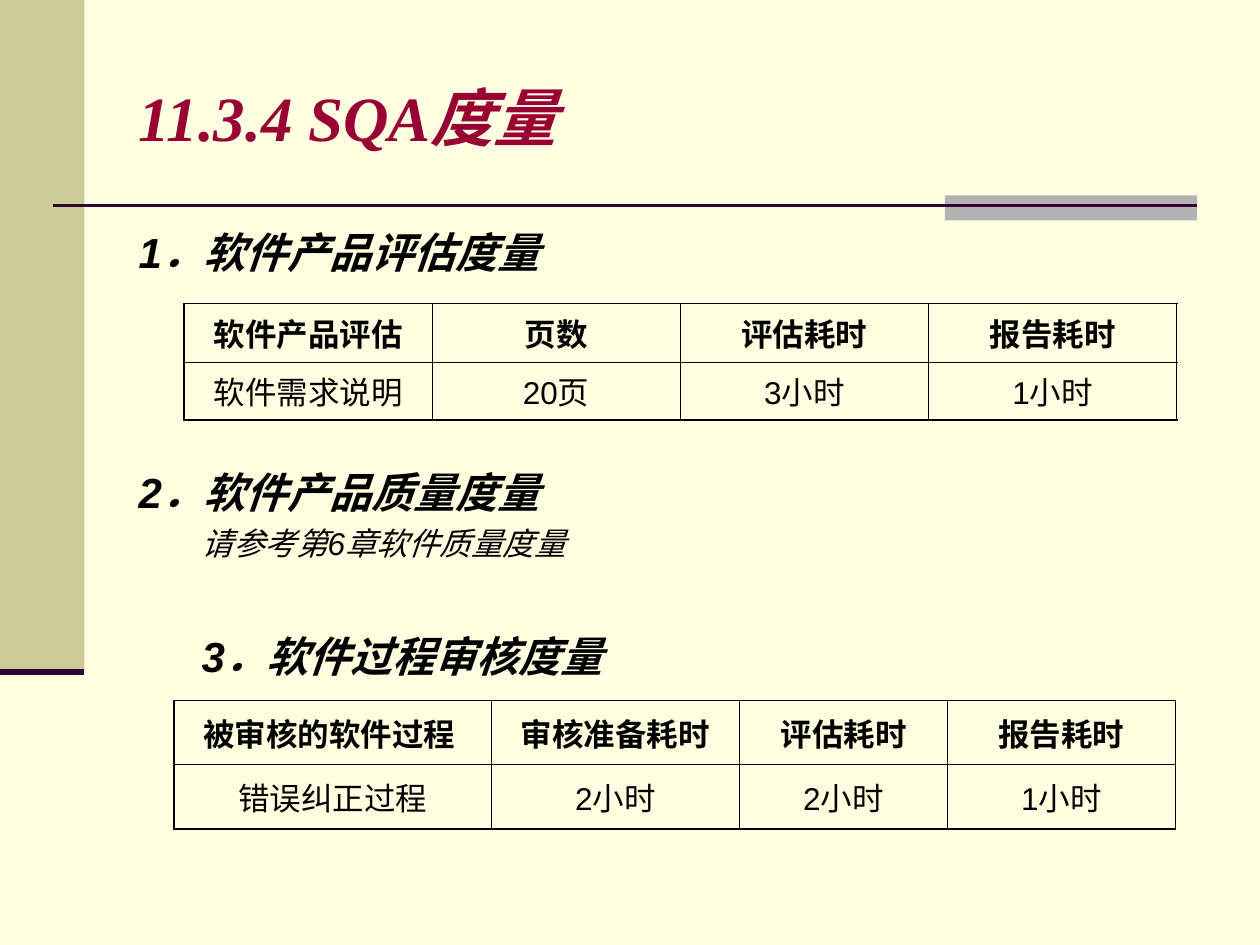
from dataclasses import dataclass

from lxml.etree import SubElement
from pptx import Presentation
from pptx.dml.color import RGBColor as RGB
from pptx.enum.shapes import MSO_CONNECTOR as CONN, MSO_SHAPE as SHAPE
from pptx.enum.text import MSO_ANCHOR as ANCHOR, MSO_AUTO_SIZE as AUTO, PP_ALIGN as ALIGN
from pptx.oxml.ns import qn
from pptx.util import Inches, Pt


@dataclass(frozen=True)
class Theme:
    paper: str = "FFFFE1"
    band: str = "CCCC99"
    tab: str = "B2B2B2"
    rule: str = "330033"
    title: str = "990033"
    text: str = "000000"
    title_font: str = "Times New Roman"
    body_font: str = "Arial"
    title_size: int = 36
    head_size: int = 24
    note_size: int = 18
    outer_line: float = 1.08
    inner_line: float = 0.45


def apply(target, values):
    for name, value in values.items():
        setattr(target, name, value)


def box(left, top, width, height):
    return dict(left=Inches(left), top=Inches(top), width=Inches(width), height=Inches(height))


class Deck:
    def __init__(self, theme):
        self.theme = theme
        self.prs = Presentation()
        apply(self.prs, dict(slide_width=Inches(10), slide_height=Inches(7.5)))
        self.s = self.prs.slides.add_slide(self.prs.slide_layouts[1])
        fill = self.s.background.fill
        fill.solid()
        fill.fore_color.rgb = RGB.from_string(theme.paper)

    def font(self, r, size, name=None, color=None, bold=False, italic=False):
        apply(r.font, dict(size=Pt(size), name=name or self.theme.body_font,
                           bold=bold, italic=italic))
        r.font.color.rgb = RGB.from_string(color or self.theme.text)

    def rect(self, color, *place):
        sp = self.s.shapes.add_shape(SHAPE.RECTANGLE, *box(*place).values())
        sp.shadow.inherit = False
        sp.fill.solid()
        sp.fill.fore_color.rgb = RGB.from_string(color)
        sp.line.fill.background()

    def rule(self, x1, x2, y, width):
        line = self.s.shapes.add_connector(CONN.STRAIGHT, Inches(x1), Inches(y), Inches(x2), Inches(y))
        line.line.color.rgb = RGB.from_string(self.theme.rule)
        line.line.width = Pt(width)
        SubElement(line._element.spPr, qn("a:effectLst"))

    def title(self, text, *place):
        sp = self.s.shapes.title
        apply(sp, box(*place))
        tf = sp.text_frame
        apply(tf, dict(word_wrap=True, auto_size=AUTO.NONE, vertical_anchor=ANCHOR.MIDDLE))
        p = tf.paragraphs[0]
        p.alignment = ALIGN.LEFT
        r = p.add_run()
        r.text = text
        self.font(r, self.theme.title_size, self.theme.title_font, self.theme.title, True, True)

    def body(self, items, *place):
        sp = self.s.placeholders[1]
        apply(sp, box(*place))
        tf = sp.text_frame
        apply(tf, dict(word_wrap=True, auto_size=AUTO.NONE, vertical_anchor=ANCHOR.TOP))
        for i, (text, size, bold, indent, before) in enumerate(items):
            p = tf.add_paragraph() if i else tf.paragraphs[0]
            pPr = p._p.get_or_add_pPr()
            pPr.set("marL", str(Inches(indent)))
            pPr.set("indent", "0")
            SubElement(pPr, qn("a:buNone"))
            p.space_before = Pt(before)
            r = p.add_run()
            r.text = text
            self.font(r, size, bold=bold, italic=True)

    def border(self, cell, side, width):
        tcPr = cell._tc.get_or_add_tcPr()
        ln = SubElement(tcPr, qn(f"a:ln{side}"), w=str(Pt(width)))
        fill = SubElement(ln, qn("a:solidFill"))
        SubElement(fill, qn("a:srgbClr"), val=self.theme.text)

    def table(self, rows, widths, left, top, row_height):
        last_row, last_col = len(rows) - 1, len(widths) - 1
        place = box(left, top, sum(widths), row_height * len(rows))
        tbl = self.s.shapes.add_table(len(rows), len(widths), *place.values()).table
        apply(tbl, dict(first_row=False, horz_banding=False))
        for col, width in zip(tbl.columns, widths):
            col.width = Inches(width)
        for i, row in enumerate(rows):
            tbl.rows[i].height = Inches(row_height)
            for j, text in enumerate(row):
                cell = tbl.cell(i, j)
                cell.vertical_anchor = ANCHOR.MIDDLE
                edges = dict(L=j == 0, R=j == last_col, T=i == 0, B=i == last_row)
                for side, outer in edges.items():
                    self.border(cell, side, self.theme.outer_line if outer else self.theme.inner_line)
                cell.fill.background()
                p = cell.text_frame.paragraphs[0]
                p.alignment = ALIGN.CENTER
                r = p.add_run()
                r.text = text
                self.font(r, self.theme.note_size, bold=i == 0)


def main():
    theme = Theme()
    deck = Deck(theme)
    deck.rect(theme.band, 0, 0, 0.67, 5.33)
    deck.rect(theme.tab, 7.5, 1.55, 2, 0.2)
    deck.rule(0.42, 9.5, 1.63, 1.5)
    deck.rule(0, 0.67, 5.33, 3.5)
    deck.title("11.3.4 SQA度量", 1, 0.3, 8.5, 1.25)
    deck.body([
        ("1．软件产品评估度量", theme.head_size, True, 0, 0),
        ("2．软件产品质量度量", theme.head_size, True, 0, 108),
        ("请参考第6章软件质量度量", theme.note_size, False, 0.5, 4.5),
        ("3．软件过程审核度量", theme.head_size, True, 0.5, 39),
    ], 1, 1.75, 4.17, 4.95)
    deck.table([
        ["软件产品评估", "页数", "评估耗时", "报告耗时"],
        ["软件需求说明", "20页", "3小时", "1小时"],
    ], [1.97] * 4, 1.46, 2.41, 0.46)
    deck.table([
        ["被审核的软件过程 ", "审核准备耗时", "评估耗时", "报告耗时"],
        ["错误纠正过程", "2小时", "2小时", "1小时"],
    ], [2.52, 1.97, 1.65, 1.81], 1.38, 5.56, 0.51)
    deck.prs.save("out.pptx")


if __name__ == "__main__":
    main()
